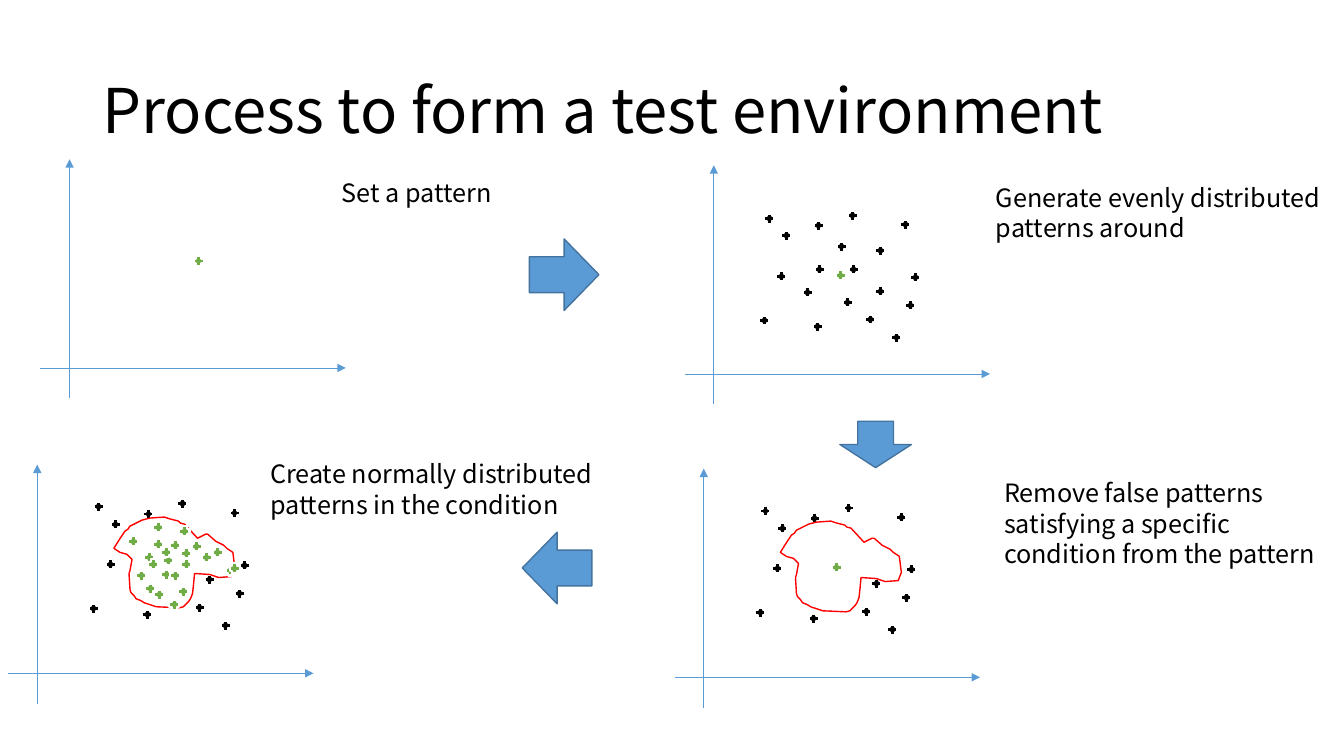
from dataclasses import dataclass

from lxml import etree
from pptx import Presentation
from pptx import util as u
from pptx.dml.color import RGBColor
from pptx.enum import shapes, text
from pptx.oxml import ns

Point = tuple[int, int]


@dataclass(frozen=True)
class Theme:
    font: str = "Noto Sans CJK KR"
    title_size: float = 44
    caption_size: float = 18
    ink: str = "000000"
    paper: str = "FFFFFF"
    accent: str = "5B9BD5"
    accent_edge: str = "43739E"
    seed: str = "70AD47"
    region: str = "FF0000"
    axis_width: float = 0.5
    edge_width: float = 1
    marker_edge: float = 1.5


@dataclass(frozen=True)
class Label:
    words: str
    box: tuple[int, int, int, int]
    size: float
    wrap: bool = True
    anchor: text.MSO_ANCHOR = text.MSO_ANCHOR.TOP
    spacing: float = 1.0


@dataclass(frozen=True)
class Step:
    origin: Point
    caption: Label
    shift: Point = (0, 0)
    patterns: tuple[Point, ...] = ()
    bounded: bool = False
    seeds: tuple[Point, ...] = ((127, 114),)


@dataclass(frozen=True)
class Transition:
    box: tuple[int, int, int, int]
    rotation: int = 0


THEME = Theme()
COLUMNS, ROWS = 1333, 750
MARKER = 10
AXIS_BACK, AXIS_RIGHT, AXIS_UP, AXIS_DOWN = 29, 274, 207, 30
REGION_START: Point = (76, 155)

OUTER: tuple[Point, ...] = (
    (56, 170), (73, 153), (105, 163), (166, 98), (182, 52), (201, 112), (104, 63),
    (139, 173), (68, 113), (51, 69), (156, 70), (191, 164), (196, 84),
)
INNER: tuple[Point, ...] = (
    (106, 120), (94, 97), (140, 120), (134, 87), (166, 138), (128, 142),
)
NORMAL: tuple[Point, ...] = (
    (90, 136), (106, 120), (123, 103), (140, 86), (107, 89), (143, 113), (125, 117),
    (132, 132), (115, 133), (187, 107), (131, 73), (116, 83), (115, 150), (141, 146),
    (163, 120), (153, 131), (174, 125), (98, 102), (110, 113), (123, 125), (132, 102),
    (143, 124), (191, 109),
)
REGION: tuple[Point, ...] = (
    (83, 21), (70, 7), (66, 6), (64, 4), (56, 2), (50, 0), (36, 1), (28, 3), (18, 8),
    (16, 9), (14, 12), (11, 14), (9, 17), (7, 20), (5, 23), (0, 31), (6, 35), (13, 37),
    (18, 42), (16, 53), (15, 56), (16, 72), (17, 75), (20, 78), (22, 81), (27, 83),
    (30, 85), (36, 87), (42, 89), (65, 90), (69, 89), (72, 86), (74, 84), (76, 81),
    (78, 76), (79, 67), (80, 56), (95, 57), (101, 59), (104, 60), (117, 59), (118, 56),
    (120, 51), (118, 35), (112, 31), (109, 28), (101, 24), (93, 17), (91, 17),
)

TITLE = Label("Process to form a test environment", (92, 40, 1150, 145),
              THEME.title_size, anchor=text.MSO_ANCHOR.MIDDLE, spacing=0.9)
STEPS = (
    Step((69, 365), Label("Set a pattern", (329, 171, 169, 40),
                          THEME.caption_size, wrap=False), shift=(-4, -3)),
    Step((708, 371), Label("Generate evenly distributed patterns around",
                           (978, 176, 354, 71), THEME.caption_size),
         shift=(-6, -11), patterns=OUTER + INNER),
    Step((698, 672), Label("Remove false patterns satisfying a specific condition from the pattern",
                           (986, 469, 335, 101), THEME.caption_size),
         patterns=OUTER, bounded=True),
    Step((37, 668), Label("Create normally distributed patterns in the condition",
                          (258, 450, 366, 71), THEME.caption_size),
         patterns=OUTER, bounded=True, seeds=NORMAL),
)
TRANSITIONS = (
    Transition((524, 238, 71, 69), 270),
    Transition((833, 418, 71, 46)),
    Transition((517, 529, 71, 69), 90),
)

deck = Presentation()
deck.slide_width, deck.slide_height = u.Inches(13.33), u.Inches(7.5)
slide = deck.slides.add_slide(deck.slide_layouts[6])
COLUMN, ROW = deck.slide_width // COLUMNS, deck.slide_height // ROWS


def place(*cells: int) -> list[u.Emu]:
    return [u.Emu(cell * (ROW if i % 2 else COLUMN)) for i, cell in enumerate(cells)]


def rgb(colour: str) -> RGBColor:
    return RGBColor.from_string(colour)


def paint(shape, fill: str | None, edge: str, width: float) -> None:
    shape.shadow.inherit = False
    if fill:
        shape.fill.solid()
        shape.fill.fore_color.rgb = rgb(fill)
    else:
        shape.fill.background()
    shape.line.color.rgb = rgb(edge)
    shape.line.width = u.Pt(width)


def write(label: Label) -> None:
    frame = slide.shapes.add_textbox(*place(*label.box)).text_frame
    frame.text = label.words
    frame.word_wrap = label.wrap
    frame.vertical_anchor = label.anchor
    paragraph = frame.paragraphs[0]
    paragraph.line_spacing = label.spacing
    font = paragraph.runs[0].font
    font.name, font.size = THEME.font, u.Pt(label.size)
    font.color.rgb = rgb(THEME.ink)


def draw_axis(start: Point, end: Point) -> None:
    axis = slide.shapes.add_connector(shapes.MSO_CONNECTOR.STRAIGHT, *place(*start, *end))
    axis.line.color.rgb = rgb(THEME.accent)
    axis.line.width = u.Pt(THEME.axis_width)
    etree.SubElement(axis.line._get_or_add_ln(), ns.qn("a:tailEnd"), type="triangle")
    etree.SubElement(axis._element.spPr, ns.qn("a:effectLst"))


def draw_markers(step: Step, points: tuple[Point, ...], colour: str) -> None:
    for right, up in points:
        left = step.origin[0] + step.shift[0] + right
        top = step.origin[1] - step.shift[1] - up
        marker = slide.shapes.add_shape(shapes.MSO_SHAPE.CROSS, *place(left, top, MARKER, MARKER))
        paint(marker, colour, THEME.paper, THEME.marker_edge)


def draw_region(step: Step) -> None:
    left, top = step.origin[0] + REGION_START[0], step.origin[1] - REGION_START[1]
    outline = [place(left + x, top + y) for x, y in REGION]
    builder = slide.shapes.build_freeform(*outline[0])
    builder.add_line_segments(outline[1:], close=True)
    paint(builder.convert_to_shape(), None, THEME.region, THEME.edge_width)


def draw_step(step: Step) -> None:
    x, y = step.origin
    draw_axis((x, y + AXIS_DOWN), (x, y - AXIS_UP))
    draw_axis((x - AXIS_BACK, y), (x + AXIS_RIGHT, y))
    draw_markers(step, step.patterns, THEME.ink)
    if step.bounded:
        draw_region(step)
    draw_markers(step, step.seeds, THEME.seed)
    write(step.caption)


def draw_transition(transition: Transition) -> None:
    arrow = slide.shapes.add_shape(shapes.MSO_SHAPE.DOWN_ARROW, *place(*transition.box))
    arrow.rotation = transition.rotation
    paint(arrow, THEME.accent, THEME.accent_edge, THEME.edge_width)


write(TITLE)
for step in STEPS:
    draw_step(step)
for transition in TRANSITIONS:
    draw_transition(transition)
deck.save("out.pptx")
